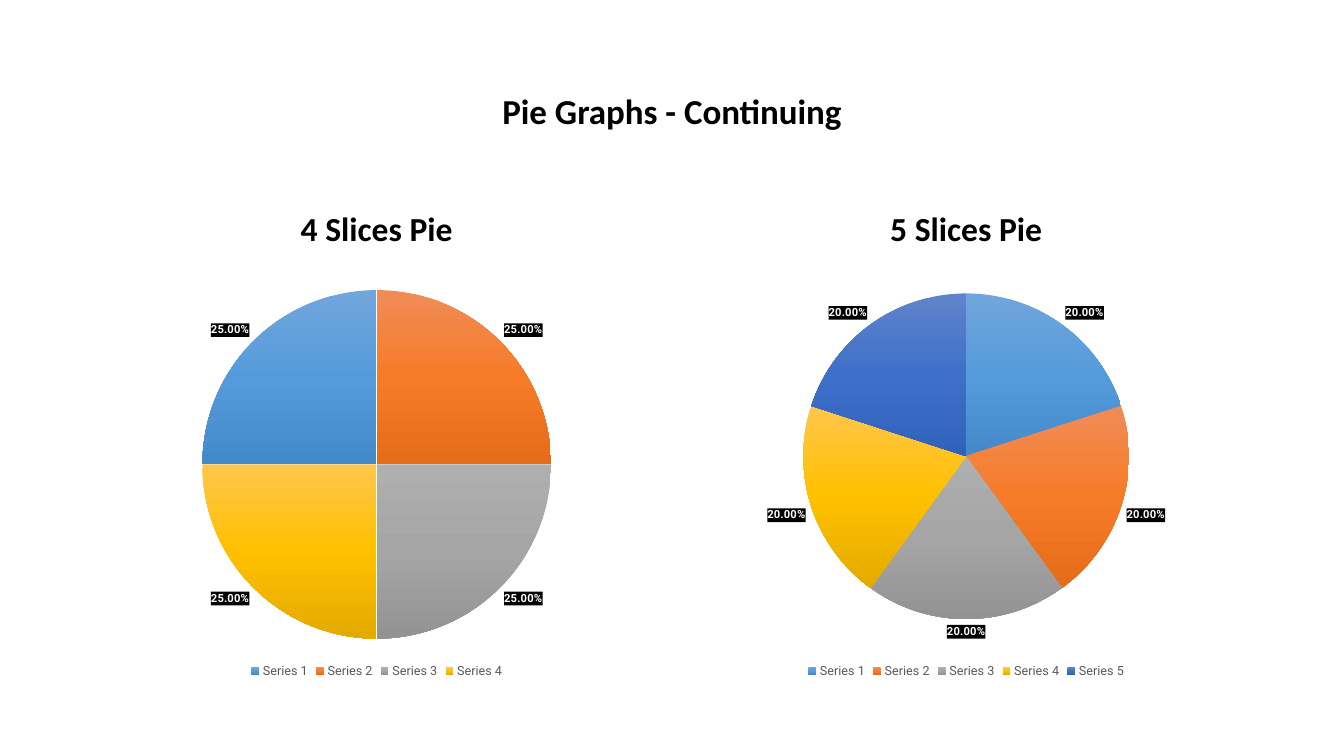
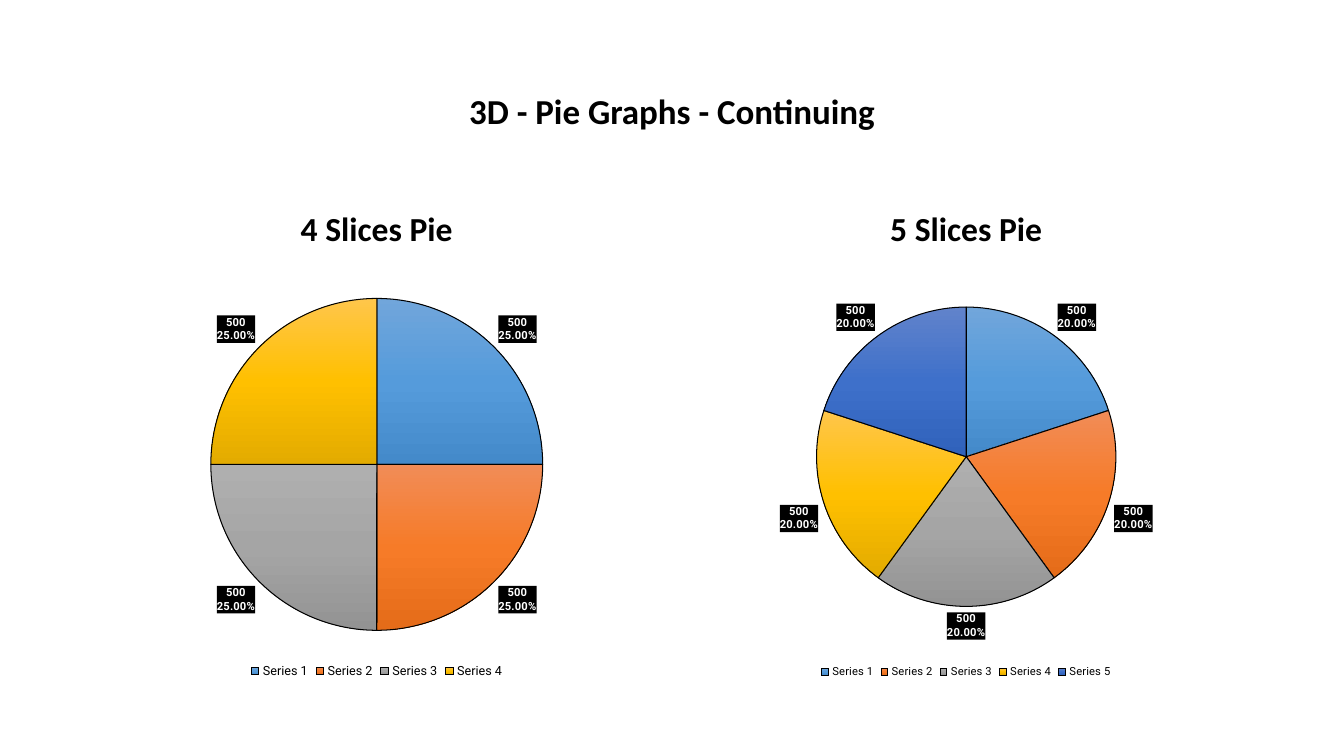
import copy

import lxml.etree
import pptx
import pptx.chart.data
import pptx.dml.color
import pptx.enum.chart
import pptx.enum.text
import pptx.oxml
import pptx.oxml.ns
import pptx.util
from pptx.util import Cm, Pt

RGBColor = pptx.dml.color.RGBColor
BLACK = RGBColor(0x00, 0x00, 0x00)
WHITE = RGBColor(0xFF, 0xFF, 0xFF)
GREY = RGBColor(0x59, 0x59, 0x59)
SLICE_GRADIENTS = [
    [RGBColor.from_string(colour) for colour in stops]
    for stops in (
        ("71A6DB", "559BDB", "448ACA"),
        ("F18C57", "F67B28", "E56C19"),
        ("AFAFAF", "A5A5A5", "939393"),
        ("FFC64B", "FFC000", "E3AB00"),
        ("6183CB", "3E70CA", "3062BB"),
    )
]

HEADING_FONT = "Calibri"
CHART_FONT = "Roboto"

TITLE_BOX = (Cm(2.33), Cm(1.02), Cm(29.21), Cm(3.68))
COLUMNS = [(Cm(2.33), Cm(14.33)), (Cm(17.15), Cm(14.4))]
HEADING_TOP, HEADING_HEIGHT = Cm(4.67), Cm(2.29)
CHART_TOP, CHART_HEIGHT = Cm(6.96), Cm(10.24)

SLIDES = [
    {
        "title": "Pie Graphs - Continuing",
        "legend_colour": GREY,
        "outlined": False,
        "show_value": False,
        "pies": [
            {"heading": "4 Slices Pie", "values": [25] * 4, "start": 270, "legend_size": 9},
            {"heading": "5 Slices Pie", "values": [20] * 5, "start": 0, "legend_size": 9},
        ],
    },
    {
        "title": "3D - Pie Graphs - Continuing",
        "legend_colour": BLACK,
        "outlined": True,
        "show_value": True,
        "pies": [
            {"heading": "4 Slices Pie", "values": [500] * 4, "start": 0, "legend_size": 9},
            {"heading": "5 Slices Pie", "values": [500] * 5, "start": 0, "legend_size": 8},
        ],
    },
]


def set_font(font, name, size, colour, bold=False):
    font.name = name
    font.size = Pt(size)
    font.color.rgb = colour
    font.bold = bold


def add_heading(slide, text, box, size):
    frame = slide.shapes.add_textbox(*box).text_frame
    frame.word_wrap = True
    frame.vertical_anchor = pptx.enum.text.MSO_ANCHOR.MIDDLE
    paragraph = frame.paragraphs[0]
    paragraph.alignment = pptx.enum.text.PP_ALIGN.CENTER
    paragraph.line_spacing = 0.9
    run = paragraph.add_run()
    run.text = text
    set_font(run.font, HEADING_FONT, size, BLACK, bold=True)


def fill_slice(chart, point, colours):
    """Give a slice a three-stop gradient running from top to bottom."""
    fill = point.format.fill
    fill.gradient()
    fill.gradient_angle = 270
    first_stop = chart.element.xpath(".//c:dPt//a:gsLst")[-1][0]
    first_stop.addnext(copy.deepcopy(first_stop))
    for stop, colour, position in zip(fill.gradient_stops, colours, (0, 0.5, 1)):
        stop.color.rgb = colour
        stop.position = position


def style_labels(chart, labels, show_value):
    labels.number_format = "0.00%"
    labels.number_format_is_linked = False
    set_font(labels.font, CHART_FONT, 8, WHITE, bold=True)
    labels.position = pptx.enum.chart.XL_LABEL_POSITION.OUTSIDE_END
    labels.show_percentage = True
    labels.show_value = show_value

    label_element = chart.element.xpath(".//c:ser/c:dLbls")[0]
    background = pptx.oxml.parse_xml(
        f"<c:spPr {pptx.oxml.ns.nsdecls('c', 'a')}><a:solidFill>"
        f'<a:srgbClr val="{BLACK}"/></a:solidFill></c:spPr>'
    )
    label_element.xpath("c:numFmt")[0].addnext(background)
    if show_value:
        separator = lxml.etree.Element(pptx.oxml.ns.qn("c:separator"))
        separator.text = "\n"
        label_element.xpath("c:showPercent|c:showBubbleSize")[-1].addnext(separator)


def add_pie(slide, pie, column, style):
    left, width = column
    values = pie["values"]
    data = pptx.chart.data.CategoryChartData()
    data.categories = [f"Series {number}" for number in range(1, len(values) + 1)]
    data.add_series("Series 1", values)
    chart = slide.shapes.add_chart(
        pptx.enum.chart.XL_CHART_TYPE.PIE, left, CHART_TOP, width, CHART_HEIGHT, data
    ).chart
    chart.has_title = False
    set_font(chart.font, CHART_FONT, pie["legend_size"], BLACK)

    chart.has_legend = True
    chart.legend.position = pptx.enum.chart.XL_LEGEND_POSITION.BOTTOM
    chart.legend.include_in_layout = False
    set_font(chart.legend.font, CHART_FONT, pie["legend_size"], style["legend_colour"])

    plot = chart.plots[0]
    plot.vary_by_categories = True
    series = plot.series[0]
    for index, colours in enumerate(SLICE_GRADIENTS[:len(values)]):
        point = series.points[index]
        fill_slice(chart, point, colours)
        line = point.format.line
        if style["outlined"]:
            line.color.rgb = BLACK
            line.width = Pt(0.75)
        else:
            line.fill.background()
    style_labels(chart, series.data_labels, style["show_value"])

    pie_element = chart.element.xpath(".//c:pieChart")[0]
    for old_angle in pie_element.xpath("c:firstSliceAng"):
        pie_element.remove(old_angle)
    angle = lxml.etree.SubElement(pie_element, pptx.oxml.ns.qn("c:firstSliceAng"))
    angle.set("val", str(pie["start"]))


def main():
    presentation = pptx.Presentation()
    presentation.slide_width = Cm(33.87)
    presentation.slide_height = Cm(19.05)
    for content in SLIDES:
        slide = presentation.slides.add_slide(presentation.slide_layouts[6])
        add_heading(slide, content["title"], TITLE_BOX, 25)
        for pie, column in zip(content["pies"], COLUMNS):
            left, width = column
            add_heading(slide, pie["heading"], (left, HEADING_TOP, width, HEADING_HEIGHT), 24)
            add_pie(slide, pie, column, content)
    presentation.save("out.pptx")


if __name__ == "__main__":
    main()
